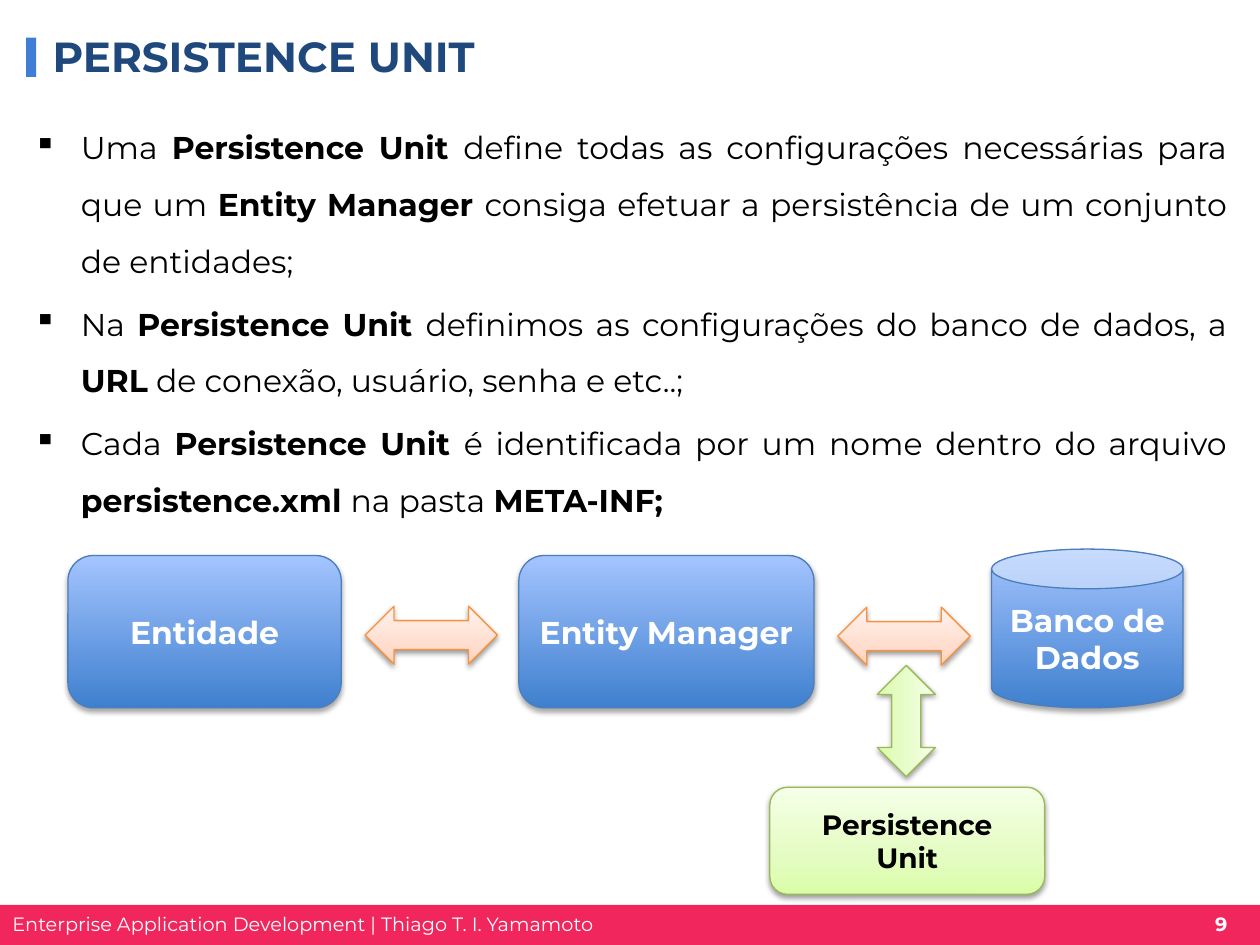
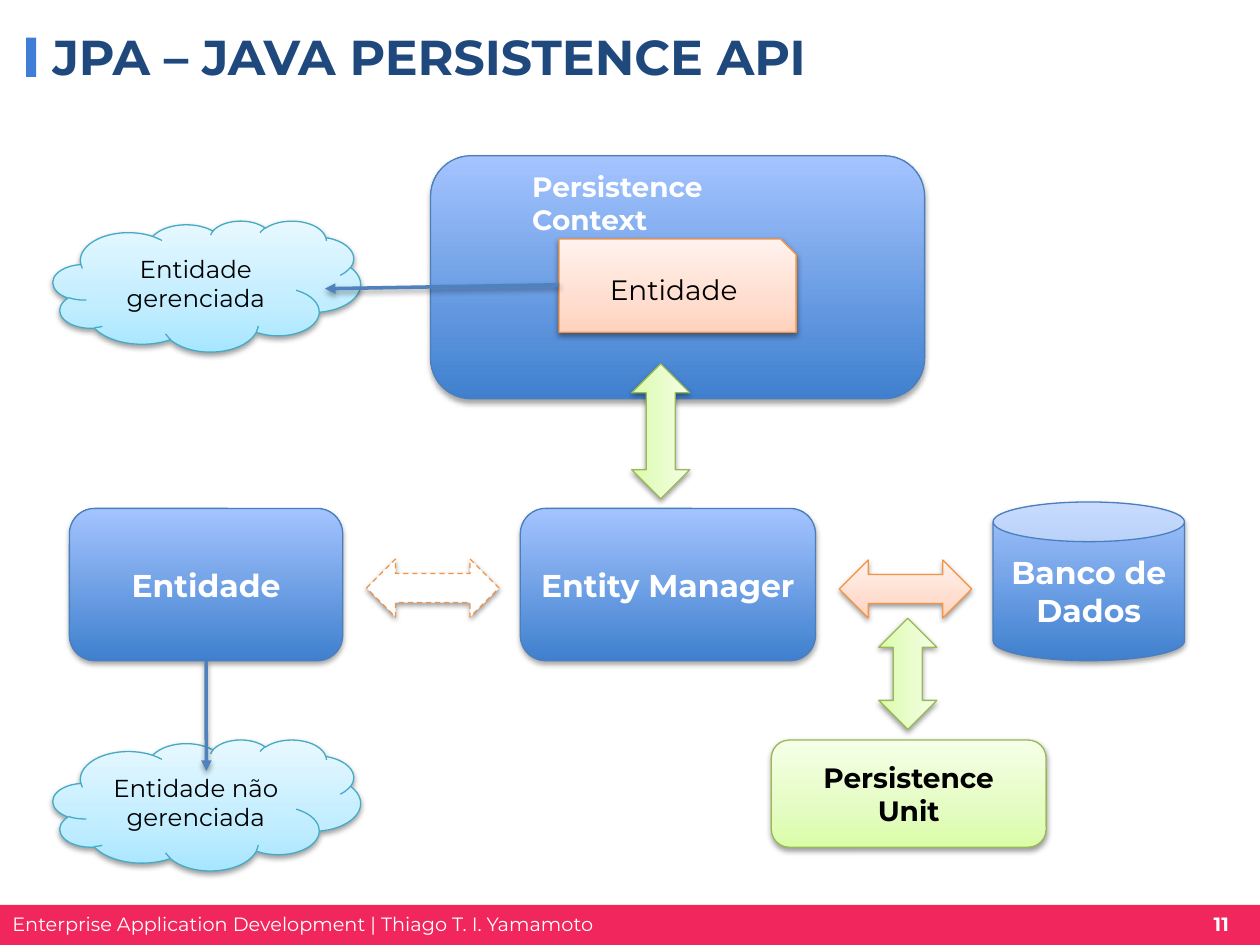
from lxml import etree
from pptx import Presentation
from pptx.dml.color import RGBColor
from pptx.enum.dml import MSO_LINE
from pptx.enum.shapes import MSO_CONNECTOR, MSO_SHAPE
from pptx.enum.text import MSO_ANCHOR, PP_ALIGN
from pptx.oxml.ns import qn
from pptx.util import Cm, Pt

RECT = MSO_SHAPE.RECTANGLE
ROUNDED = MSO_SHAPE.ROUNDED_RECTANGLE
CAN = MSO_SHAPE.CAN
CLOUD = MSO_SHAPE.CLOUD
SNIPPED = MSO_SHAPE.SNIP_1_RECTANGLE
DOUBLE_ARROW = MSO_SHAPE.LEFT_RIGHT_ARROW
STRAIGHT = MSO_CONNECTOR.STRAIGHT
DASH = MSO_LINE.DASH
LEFT, CENTER, JUSTIFY = PP_ALIGN.LEFT, PP_ALIGN.CENTER, PP_ALIGN.JUSTIFY
TOP, MIDDLE = MSO_ANCHOR.TOP, MSO_ANCHOR.MIDDLE

FONT = "Montserrat"
COLORS = {
    "band": "F0265D", "accent": "407DD6", "title": "1F497D",
    "white": "FFFFFF", "black": "000000", "connector": "4F81BD",
}
STRONG_SHADOW = (40000, 23000, 35000)
SOFT_SHADOW = (40000, 20000, 38000)
THEMES = {
    "blue": ([(0, "3F80CE"), (100, "A4C4FF")], "4B7EBC", STRONG_SHADOW),
    "orange": ([(0, "FFD2BD"), (35, "FFDED0"), (100, "FFF2ED")], "F69240", SOFT_SHADOW),
    "green": ([(0, "DAFDA7"), (35, "E4FCC2"), (100, "F5FFE7")], "98B955", SOFT_SHADOW),
    "cyan": ([(0, "A7E6FF"), (35, "C1EDFF"), (100, "E7F8FF")], "46AAC5", SOFT_SHADOW),
}
BULLETS = [
    [("Uma ", False), ("Persistence Unit ", True),
     ("define todas as configurações necessárias para que um ", False),
     ("Entity Manager ", True),
     ("consiga efetuar a persistência de um conjunto de entidades;", False)],
    [("Na ", False), ("Persistence Unit ", True),
     ("definimos as configurações do banco de dados, a ", False),
     ("URL", True), (" de conexão, usuário, senha e etc..;", False)],
    [("Cada ", False), ("Persistence Unit ", True),
     ("é identificada por um nome dentro do arquivo ", False),
     ("persistence.xml ", True), ("na pasta ", False), ("META-INF;", True)],
]


def rgb(name):
    """Return the palette colour called name."""
    return RGBColor.from_string(COLORS[name])


def box_cm(box):
    """Convert a box in centimetres to lengths."""
    return [Cm(length) for length in box]


def add_run(paragraph, text, size, color, bold=False):
    """Append one formatted run to a paragraph."""
    run = paragraph.add_run()
    run.text = text
    run.font.name = FONT
    run.font.size = Pt(size)
    run.font.bold = bold
    run.font.color.rgb = rgb(color)


def add_text(slide, box, text, size, color, bold=False, align=LEFT, anchor=TOP, wrap=True):
    """Add a text box holding a single run."""
    frame = slide.shapes.add_textbox(*box_cm(box)).text_frame
    frame.word_wrap = wrap
    frame.vertical_anchor = anchor
    frame.paragraphs[0].alignment = align
    add_run(frame.paragraphs[0], text, size, color, bold)


def add_shadow(effects, shadow):
    """Put a downward outer shadow in an effect list."""
    blur, distance, alpha = shadow
    outer = etree.SubElement(effects, qn("a:outerShdw"), blurRad=str(blur),
                             dist=str(distance), dir="5400000", rotWithShape="0")
    black = etree.SubElement(outer, qn("a:srgbClr"), val=COLORS["black"])
    etree.SubElement(black, qn("a:alpha"), val=str(alpha))


def add_bar(slide, box, color):
    """Add a plain rectangle without outline."""
    bar = slide.shapes.add_shape(RECT, *box_cm(box))
    bar.shadow.inherit = False
    bar.fill.solid()
    bar.fill.fore_color.rgb = rgb(color)
    bar.line.fill.background()


def add_node(slide, kind, box, theme, text="", size=18, color="white", bold=True):
    """Add a themed gradient shape with an optional centred label."""
    stops, outline, shadow = THEMES[theme]
    node = slide.shapes.add_shape(kind, *box_cm(box))
    node.fill.gradient()
    node.fill.gradient_angle = 90
    properties = node._element.spPr
    stop_list = properties.find(".//" + qn("a:gsLst"))
    for stop in list(stop_list):
        stop_list.remove(stop)
    for position, shade in stops:
        stop = etree.SubElement(stop_list, qn("a:gs"), pos=str(position * 1000))
        etree.SubElement(stop, qn("a:srgbClr"), val=shade)
    node.line.color.rgb = RGBColor.from_string(outline)
    node.line.width = Pt(0.75)
    node.shadow.inherit = False
    add_shadow(properties.find(qn("a:effectLst")), shadow)
    if text:
        frame = node.text_frame
        frame.word_wrap = True
        frame.vertical_anchor = MIDDLE
        frame.paragraphs[0].alignment = CENTER
        add_run(frame.paragraphs[0], text, size, color, bold)
    return node


def add_vertical_arrow(slide, box):
    """Add a green double arrow turned upright about its centre."""
    add_node(slide, DOUBLE_ARROW, box, "green").rotation = 90


def add_pointer(slide, start, end, source=None, site=0):
    """Add an arrow, joined to a side of its source when one is given."""
    pointer = slide.shapes.add_connector(STRAIGHT, *box_cm(start + end))
    if source is not None:
        pointer.begin_connect(source, site)
    pointer.line.color.rgb = rgb("connector")
    pointer.line.width = Pt(2)
    properties = pointer._element.spPr
    etree.SubElement(properties.find(qn("a:ln")), qn("a:tailEnd"), type="triangle")
    add_shadow(etree.SubElement(properties, qn("a:effectLst")), SOFT_SHADOW)


def add_frame(prs, title, title_size, number):
    """Add a slide with its title, accent bar and footer band."""
    slide = prs.slides.add_slide(prs.slide_layouts[6])
    add_bar(slide, (0, 18.24, 25.4, 0.81), "band")
    add_bar(slide, (0.53, 0.76, 0.2, 0.79), "accent")
    add_text(slide, (0, 18.26, 12.37, 0.74),
             "Enterprise Application Development | Thiago T. I. Yamamoto",
             11, "white", wrap=False)
    add_text(slide, (24.1, 18.26, 1.04, 0.74), number, 11, "white", True, CENTER, wrap=False)
    add_text(slide, (0.81, 0.58, 20.32, 1.09), title, title_size, "title", True, anchor=MIDDLE)
    return slide


def add_bullets(slide, box):
    """Add the justified bullet list."""
    frame = slide.shapes.add_textbox(*box_cm(box)).text_frame
    frame.word_wrap = True
    for index, runs in enumerate(BULLETS):
        paragraph = frame.add_paragraph() if index else frame.paragraphs[0]
        paragraph.alignment = JUSTIFY
        paragraph.line_spacing = 1.5
        paragraph.space_before = Pt(3.6)
        properties = paragraph._p.get_or_add_pPr()
        properties.set("marL", str(Cm(0.95)))
        properties.set("indent", str(-Cm(0.95)))
        etree.SubElement(properties, qn("a:buChar"), char="▪")
        for text, bold in runs:
            add_run(paragraph, text, 18, "black", bold)


def add_persistence_flow(slide, left, top):
    """Draw the flow from entity to database; return the entity and its arrow."""
    def at(x, y, width, height):
        return left + x, top + y, width, height

    entity = add_node(slide, ROUNDED, at(0, 0.13, 5.51, 3.07), "blue", "Entidade")
    add_node(slide, ROUNDED, at(9.09, 0.13, 5.95, 3.07), "blue", "Entity Manager")
    add_node(slide, CAN, at(18.62, 0, 3.86, 3.2), "blue", "Banco de Dados")
    entity_arrow = add_node(slide, DOUBLE_ARROW, at(5.99, 1.15, 2.67, 1.17), "orange")
    add_node(slide, DOUBLE_ARROW, at(15.52, 1.17, 2.67, 1.17), "orange")
    add_node(slide, ROUNDED, at(14.15, 4.8, 5.54, 2.16), "green",
             "Persistence Unit", 16, "black")
    add_vertical_arrow(slide, at(15.78, 2.88, 2.24, 1.17))
    return entity, entity_arrow


def add_persistence_context(slide, left, top):
    """Draw the persistence context with the entity it manages."""
    add_node(slide, ROUNDED, (left, top, 9.96, 4.9), "blue")
    add_node(slide, SNIPPED, (left + 2.59, top + 1.68, 4.78, 1.88), "orange",
             "Entidade", 16, "black", False)
    add_text(slide, (left + 1.8, top + 0.15, 6.3, 0.94),
             "Persistence Context", 16, "white", True)


def add_cloud(slide, left, top, text):
    """Draw a cloud that tells the state of an entity."""
    add_node(slide, CLOUD, (left, top, 6.2, 2.64), "cyan", text, 14, "black", False)


def build_unit_slide(prs):
    """Build the slide on the persistence unit."""
    slide = add_frame(prs, "PERSISTENCE UNIT", 24, "9")
    add_bullets(slide, (0.43, 2.08, 24.56, 10.97))
    add_persistence_flow(slide, 1.37, 11.07)


def build_api_slide(prs):
    """Build the slide with the overview of the API."""
    slide = add_frame(prs, "JPA – JAVA PERSISTENCE API", 28, "11")
    add_persistence_context(slide, 8.68, 3.14)
    entity, entity_arrow = add_persistence_flow(slide, 1.4, 10.12)
    entity_arrow.fill.solid()
    entity_arrow.fill.fore_color.rgb = rgb("white")
    entity_arrow.line.dash_style = DASH
    add_vertical_arrow(slide, (11.96, 8.11, 2.72, 1.17))
    add_cloud(slide, 1.07, 14.91, "Entidade não gerenciada")
    add_cloud(slide, 1.07, 4.45, "Entidade gerenciada")
    add_pointer(slide, (4.16, 13.32), (4.16, 15.54), entity, 2)
    add_pointer(slide, (11.27, 5.74), (6.55, 5.82))


def main():
    """Build and save the presentation."""
    prs = Presentation()
    prs.slide_width = Cm(25.4)
    prs.slide_height = Cm(19.05)
    build_unit_slide(prs)
    build_api_slide(prs)
    prs.save("out.pptx")


if __name__ == "__main__":
    main()
